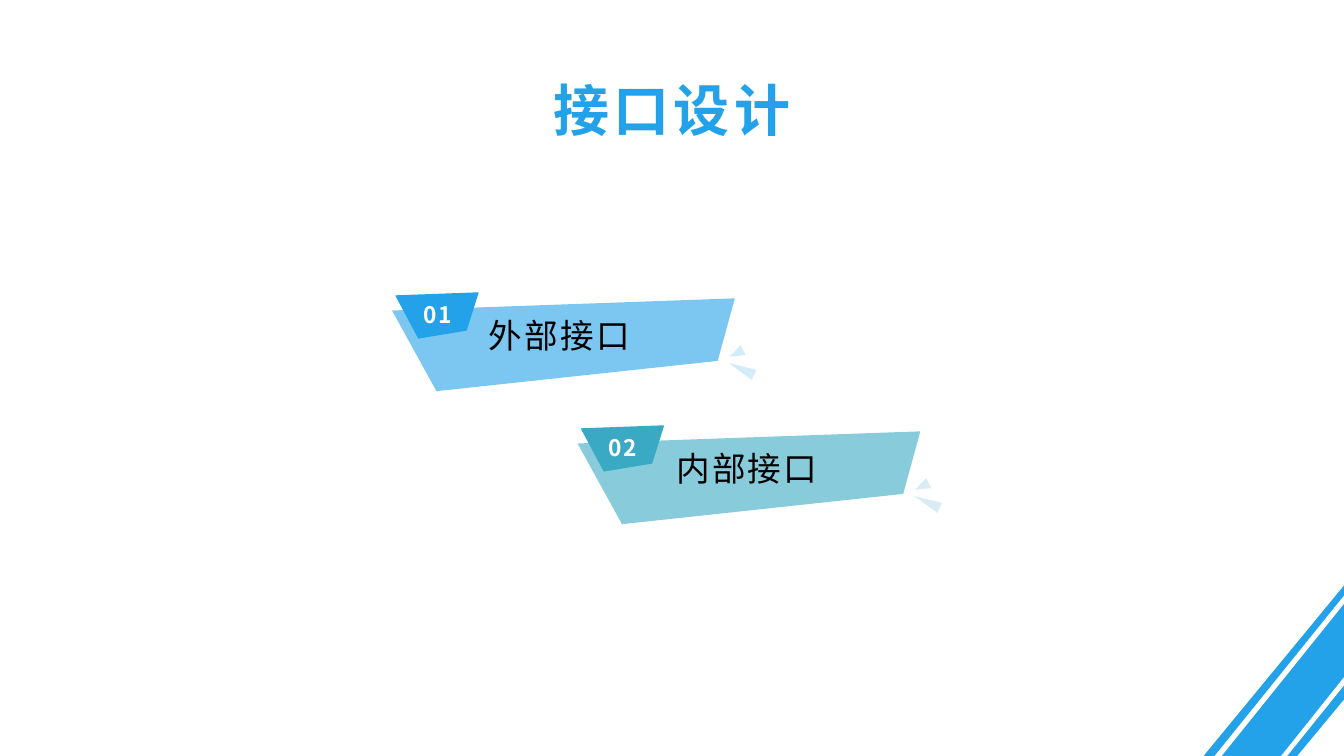
from dataclasses import dataclass

from lxml import etree
from pptx import Presentation
from pptx.dml.color import RGBColor
from pptx.enum import shapes, text
from pptx.oxml import ns
from pptx.util import Pt


@dataclass(frozen=True)
class Theme:
    """Colours, font and type sizes of the deck."""
    blue: str = "23A2E9"
    pale_blue: str = "7BC7F2"
    teal: str = "3AA9C4"
    pale_teal: str = "88CCDC"
    white: str = "FFFFFF"
    black: str = "000000"
    font: str = "Noto Sans CJK SC"
    title_size: float = 40
    label_size: float = 24
    number_size: float = 16.2


THEME = Theme()


def paint(shape, color, alpha=None):
    """Give a shape a flat fill, with optional opacity in percent."""
    shape.shadow.inherit = False
    shape.line.fill.background()
    shape.fill.solid()
    shape.fill.fore_color.rgb = RGBColor.from_string(color)
    if alpha is not None:
        tint = shape.fill._xPr.find(f".//{ns.qn('a:srgbClr')}")
        etree.SubElement(tint, ns.qn("a:alpha")).set("val", str(alpha * 1000))


def add_outline(slide, left, top, corners, color):
    """Draw a filled polygon whose corners are relative to left and top."""
    points = [(Pt(left + x), Pt(top + y)) for x, y in corners]
    builder = slide.shapes.build_freeform(*points[0], scale=1.0)
    builder.add_line_segments(points[1:], close=True)
    paint(builder.convert_to_shape(), color)


def add_spark(slide, left, top, width, height, rotation, color):
    """Draw one translucent triangular spark."""
    spark = slide.shapes.add_shape(
        shapes.MSO_SHAPE.ISOSCELES_TRIANGLE, Pt(left), Pt(top), Pt(width), Pt(height))
    spark.rotation = rotation
    paint(spark, color, alpha=20)


def add_words(slide, box, words, size, color, spacing, bold=False, centred=False,
              wrap=True, middle=True, after=0, line=None):
    """Place one line of letterspaced text in a box."""
    frame = slide.shapes.add_textbox(*map(Pt, box)).text_frame
    frame.word_wrap = wrap
    frame.vertical_anchor = text.MSO_ANCHOR.MIDDLE if middle else text.MSO_ANCHOR.TOP
    paragraph = frame.paragraphs[0]
    paragraph.alignment = text.PP_ALIGN.CENTER if centred else text.PP_ALIGN.LEFT
    paragraph.space_after = Pt(after)
    paragraph.line_spacing = line
    run = paragraph.add_run()
    run.text = words
    run.font.size = Pt(size)
    run.font.bold = bold
    run.font.name = THEME.font
    run.font.color.rgb = RGBColor.from_string(color)
    properties = run._r.get_or_add_rPr()
    properties.set("spc", str(round(spacing * 100)))
    etree.SubElement(properties, ns.qn("a:ea")).set("typeface", THEME.font)


def add_corner(slide, left, top, width, height):
    """Draw the striped band that fills the lower right corner."""
    band = [(width, 0), (width, 81.4), (66.9, height), (0, height)]
    upper_stripe = [(width, 7.2), (width, 13), (12.9, height), (7.9, height)]
    lower_stripe = [(width, 65.5), (width, 71.3), (59.7, height), (55.4, height)]
    add_outline(slide, left, top, band, THEME.blue)
    for stripe in (upper_stripe, lower_stripe):
        add_outline(slide, left, top, stripe, THEME.white)


def add_banner(slide, left, top, number, label, label_left, strong, pale):
    """Draw a numbered banner with its label and sparks."""
    plate = [(244.8, 4.3), (232.6, 49), (31.7, 70.6), (0, 13)]
    badge = [(61.9, 0), (53.3, 27.4), (18.7, 33.1), (2.2, 2.2)]
    add_outline(slide, left, top, plate, pale)
    add_spark(slide, left + 245.5, top + 44.6, 7.9, 20.2, 295.1, strong)
    add_spark(slide, left + 241.9, top + 38.2, 7.9, 10.8, 244.7, strong)
    add_outline(slide, left, top, badge, strong)
    add_words(slide, (left + 15.1, top + 2.2, 34.6, 28.8), number, THEME.number_size,
              THEME.white, 1, bold=True, centred=True, wrap=False, middle=False, after=8)
    add_words(slide, (left + label_left, top + 11.5, 158.4, 38.2), label,
              THEME.label_size, THEME.black, 1.6, after=8)


def add_title(slide, left, top, width, height):
    """Write the centred slide title."""
    add_words(slide, (left, top, width, height), "接口设计", THEME.title_size,
              THEME.blue, 3, bold=True, centred=True, line=1.2)


def main():
    """Build the slide and save it."""
    deck = Presentation()
    deck.slide_width, deck.slide_height = Pt(960), Pt(540)
    slide = deck.slides.add_slide(deck.slide_layouts[6])
    add_corner(slide, 859.7, 418.3, 100.3, 121.7)
    add_banner(slide, 280.1, 208.8, "01", "外部接口", 61.9, THEME.blue, THEME.pale_blue)
    add_banner(slide, 412.6, 303.8, "02", "内部接口", 63.4, THEME.teal, THEME.pale_teal)
    add_title(slide, 174, 50.4, 612, 46.1)
    deck.save("out.pptx")


if __name__ == "__main__":
    main()
